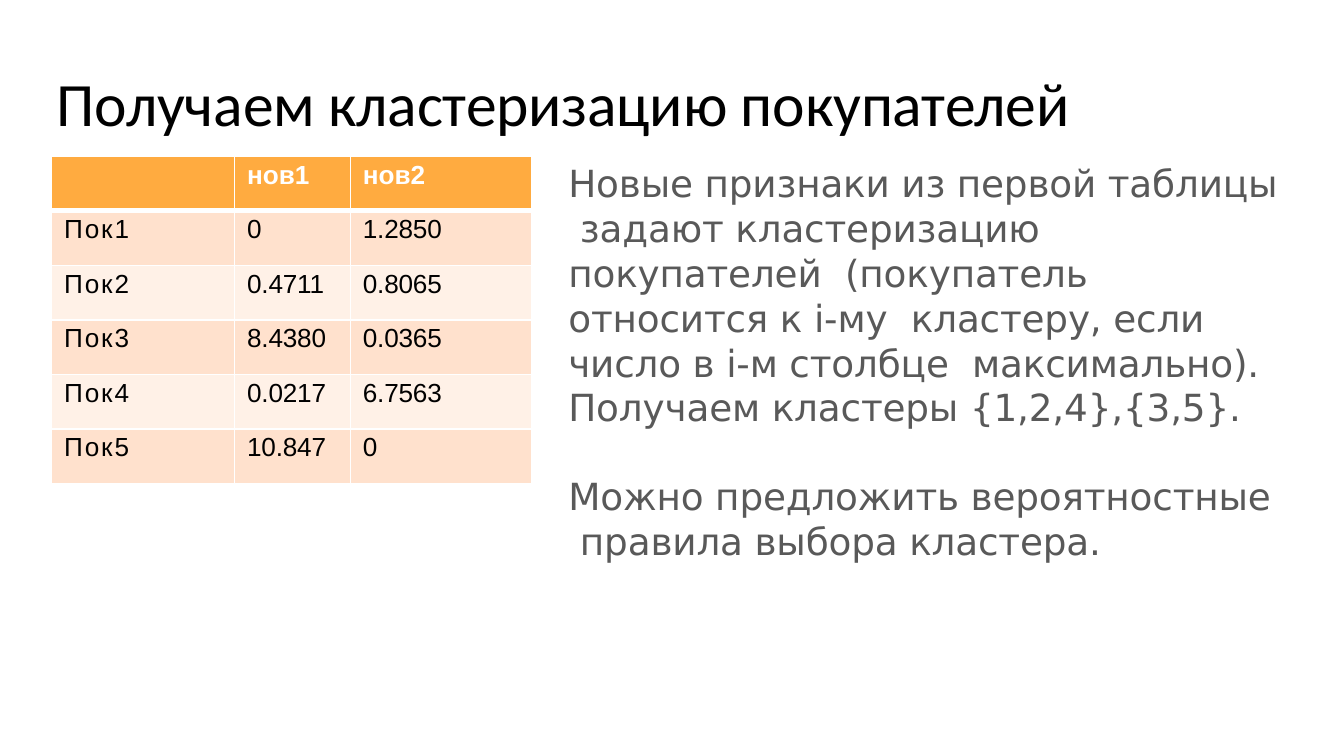
from lxml.etree import SubElement
from pptx import Presentation
from pptx.dml.color import RGBColor
from pptx.enum.text import MSO_ANCHOR, PP_ALIGN
from pptx.oxml.ns import qn
from pptx.util import Pt

BLACK = RGBColor(0x00, 0x00, 0x00)
WHITE = RGBColor(0xFF, 0xFF, 0xFF)
GRAY = RGBColor(0x59, 0x59, 0x59)
ORANGE = RGBColor(0xFF, 0xAB, 0x40)
PEACH = RGBColor(0xFF, 0xE1, 0xCD)
CREAM = RGBColor(0xFF, 0xF1, 0xE7)


def style_text(paragraph, font_name, size, color, spacing=0, bold=False):
    """Format every run of a paragraph; spacing is in points."""
    paragraph.alignment = PP_ALIGN.LEFT
    for run in paragraph.runs:
        run.font.name = font_name
        run.font.size = Pt(size)
        run.font.bold = bold
        run.font.color.rgb = color
        run.font._element.set("spc", str(round(spacing * 100)))


def add_borders(cell, widths):
    """Draw white cell borders; widths maps a side to points."""
    properties = cell._tc.get_or_add_tcPr()
    for side, width in widths.items():
        line = SubElement(properties, qn(f"a:ln{side}"), w=str(Pt(width)))
        line_fill = SubElement(line, qn("a:solidFill"))
        SubElement(line_fill, qn("a:srgbClr"), val=str(WHITE))


presentation = Presentation()
presentation.slide_width = Pt(720)
presentation.slide_height = Pt(405)
slide = presentation.slides.add_slide(presentation.slide_layouts[5])

# Title
title = slide.shapes.title
title.left, title.top, title.width, title.height = Pt(30.5), Pt(38), Pt(571), Pt(32)
heading = title.text_frame
heading.text = "Получаем кластеризацию покупателей"
heading.vertical_anchor = MSO_ANCHOR.MIDDLE
heading.word_wrap = True
heading.margin_left = heading.margin_right = heading.margin_bottom = 0
heading.margin_top = Pt(1)
heading.paragraphs[0].space_before = Pt(1)
style_text(heading.paragraphs[0], "Calibri", 33, BLACK, -0.1)

# Explanation
explanation = slide.shapes.add_textbox(Pt(304.5), Pt(85), Pt(380), Pt(218)).text_frame
explanation.word_wrap = True
explanation.margin_left = explanation.margin_right = explanation.margin_bottom = 0
explanation.margin_top = Pt(1)
explanation.text = "\n".join([
    "Новые признаки из первой таблицы  задают кластеризацию покупателей  "
    "(покупатель относится к i-му  кластеру, если число в i-м столбце  максимально).",
    "Получаем кластеры {1,2,4},{3,5}.",
    "Можно предложить вероятностные  правила выбора кластера.",
])
for paragraph, space_before in zip(explanation.paragraphs, (1, 0, 23.5)):
    paragraph.space_before = Pt(space_before)
    style_text(paragraph, "DejaVu Sans", 20, GRAY, -0.1)

# Customer features
customer_rows = [
    ("", "нов1", "нов2"),
    ("Пок1", "0", "1.2850"),
    ("Пок2", "0.4711", "0.8065"),
    ("Пок3", "8.4380", "0.0365"),
    ("Пок4", "0.0217", "6.7563"),
    ("Пок5", "10.847", "0"),
]
column_widths = (98, 62, 97)
row_height = 29.2
customers = slide.shapes.add_table(
    len(customer_rows), len(column_widths), Pt(27.7), Pt(83.8),
    Pt(sum(column_widths)), Pt(row_height * len(customer_rows)),
).table
for column, width in zip(customers.columns, column_widths):
    column.width = Pt(width)

for row_index, values in enumerate(customer_rows):
    customers.rows[row_index].height = Pt(row_height)
    is_header = row_index == 0
    row_fill = ORANGE if is_header else (PEACH if row_index % 2 else CREAM)
    borders = {"L": 1, "R": 1, "T": 3 if row_index == 1 else 1, "B": 3 if is_header else 1}
    for column_index, value in enumerate(values):
        cell = customers.cell(row_index, column_index)
        cell.text = value
        cell.margin_left = Pt(6.7)
        cell.margin_right = cell.margin_bottom = 0
        cell.margin_top = Pt(2.2)
        add_borders(cell, borders)
        cell.fill.solid()
        cell.fill.fore_color.rgb = row_fill
        paragraph = cell.text_frame.paragraphs[0]
        paragraph.space_before = Pt(2.4)
        spacing = 0 if is_header else (1 if column_index == 0 else -0.1)
        style_text(paragraph, "Arial", 14, WHITE if is_header else BLACK, spacing, is_header)

presentation.save("out.pptx")
